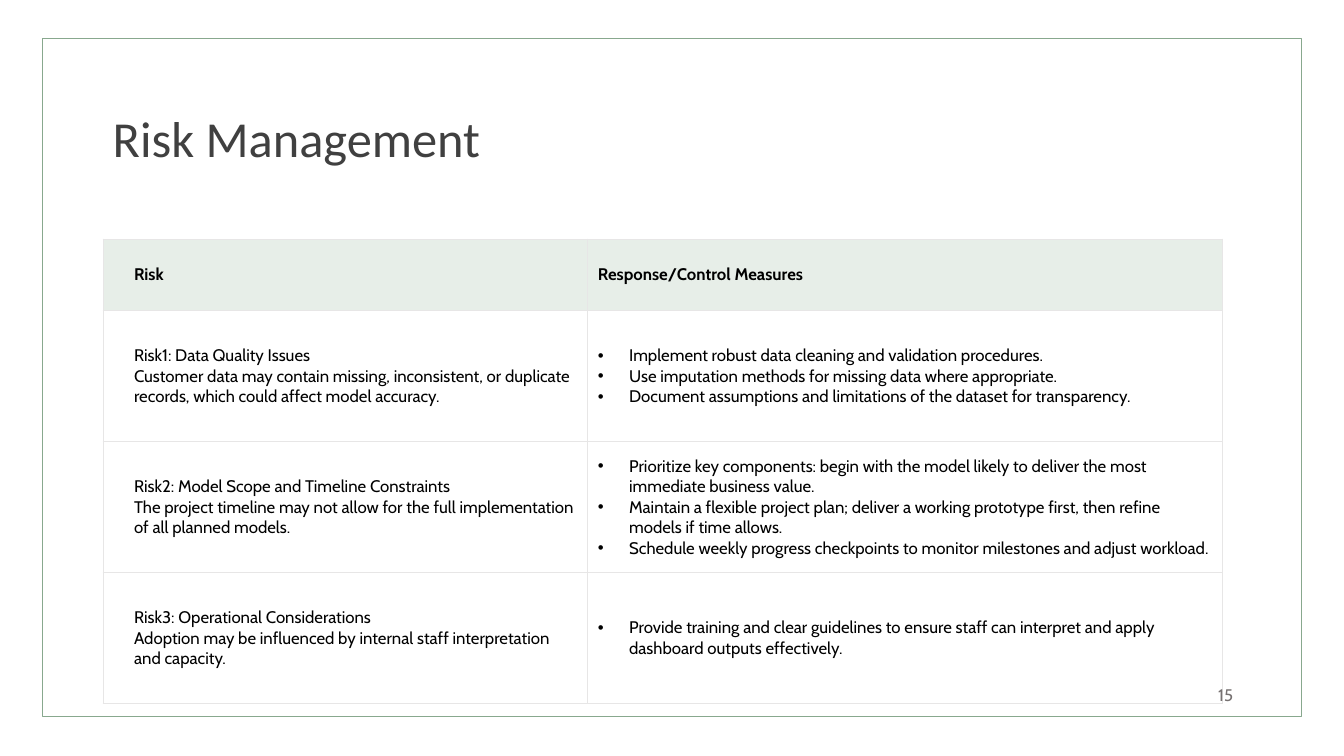
"""Build the risk management slide with its table of risks and responses."""
from lxml.etree import SubElement
from pptx import Presentation
from pptx.dml.color import RGBColor
from pptx.enum.shapes import MSO_SHAPE
from pptx.enum.text import MSO_ANCHOR, PP_ALIGN
from pptx.oxml.ns import qn
from pptx.util import Inches, Pt

COLORS = {
    "frame": "88A88E",
    "title": "404040",
    "header": "E7EEE8",
    "border": "E7E6E6",
    "body": "000000",
    "number": "767171",
}
TABLE_LEFT, TABLE_TOP = 1.02, 2.37
COLUMN_WIDTHS = [4.81, 6.29]
ROW_HEIGHTS = [0.71, 1.3, 1.3, 1.3]
INDENT = Inches(0.31)
ROWS = [
    (["Risk"], ["Response/Control Measures"]),
    (
        [
            "Risk1: Data Quality Issues",
            "Customer data may contain missing, inconsistent, or duplicate records, "
            "which could affect model accuracy.",
        ],
        [
            "Implement robust data cleaning and validation procedures.",
            "Use imputation methods for missing data where appropriate.",
            "Document assumptions and limitations of the dataset for transparency.",
        ],
    ),
    (
        [
            "Risk2: Model Scope and Timeline Constraints",
            "The project timeline may not allow for the full implementation "
            "of all planned models.",
        ],
        [
            "Prioritize key components: begin with the model likely to deliver "
            "the most immediate business value.",
            "Maintain a flexible project plan; deliver a working prototype first, "
            "then refine models if time allows.",
            "Schedule weekly progress checkpoints to monitor milestones and adjust workload.",
        ],
    ),
    (
        [
            "Risk3: Operational Considerations",
            "Adoption may be influenced by internal staff interpretation and capacity.",
        ],
        [
            "Provide training and clear guidelines to ensure staff can interpret "
            "and apply dashboard outputs effectively.",
        ],
    ),
]


def color(name):
    """Return the named colour."""
    return RGBColor.from_string(COLORS[name])


def add_run(paragraph, text, size, font_name, color_name, bold=False):
    """Add one formatted run to a paragraph."""
    run = paragraph.add_run()
    run.text = text
    run.font.size = Pt(size)
    run.font.name = font_name
    run.font.bold = bold
    run.font.color.rgb = color(color_name)


def add_frame(slide):
    """Draw the thin outline around the slide content."""
    box = [Inches(length) for length in (0.42, 0.38, 12.49, 6.73)]
    shape = slide.shapes.add_shape(MSO_SHAPE.RECTANGLE, *box)
    shape.shadow.inherit = False
    shape.fill.background()
    shape.line.color.rgb = color("frame")
    shape.line.width = Pt(1)


def add_label(slide, box, text, size, font_name, color_name, alignment):
    """Add a one-line text box centred vertically in its box."""
    shape = slide.shapes.add_textbox(*[Inches(length) for length in box])
    frame = shape.text_frame
    frame.word_wrap = True
    frame.vertical_anchor = MSO_ANCHOR.MIDDLE
    paragraph = frame.paragraphs[0]
    paragraph.alignment = alignment
    add_run(paragraph, text, size, font_name, color_name)


def set_borders(cell):
    """Outline all four sides of a table cell."""
    properties = cell._tc.get_or_add_tcPr()
    for side in ("a:lnL", "a:lnR", "a:lnT", "a:lnB"):
        line = SubElement(properties, qn(side), w=str(Pt(0.5)))
        fill = SubElement(line, qn("a:solidFill"))
        SubElement(fill, qn("a:srgbClr"), val=COLORS["border"])


def set_bullet(paragraph):
    """Give a paragraph a round bullet and a hanging indent."""
    properties = paragraph._p.get_or_add_pPr()
    properties.set("marL", str(INDENT))
    properties.set("indent", str(-INDENT))
    SubElement(properties, qn("a:buFont"), typeface="Arial")
    SubElement(properties, qn("a:buChar"), char="•")


def fill_cell(cell, lines, is_header, is_response):
    """Format a cell and write its lines as paragraphs."""
    set_borders(cell)
    if is_header:
        cell.fill.solid()
        cell.fill.fore_color.rgb = color("header")
    else:
        cell.fill.background()
    cell.vertical_anchor = MSO_ANCHOR.MIDDLE
    if not is_response:
        cell.margin_left = INDENT
    frame = cell.text_frame
    for index, text in enumerate(lines):
        paragraph = frame.add_paragraph() if index else frame.paragraphs[0]
        if is_response and not is_header:
            set_bullet(paragraph)
        add_run(paragraph, text, 12, "Cabin", "body", bold=is_header)


def add_risk_table(slide):
    """Add the table of risks and control measures."""
    table = slide.shapes.add_table(
        len(ROW_HEIGHTS), len(COLUMN_WIDTHS), Inches(TABLE_LEFT), Inches(TABLE_TOP),
        Inches(sum(COLUMN_WIDTHS)), Inches(sum(ROW_HEIGHTS)),
    ).table
    table.horz_banding = False
    for column, width in zip(table.columns, COLUMN_WIDTHS):
        column.width = Inches(width)
    for row_index, (height, contents) in enumerate(zip(ROW_HEIGHTS, ROWS)):
        table.rows[row_index].height = Inches(height)
        for column_index, lines in enumerate(contents):
            cell = table.cell(row_index, column_index)
            fill_cell(cell, lines, row_index == 0, column_index == 1)


def main():
    """Build and save the slide."""
    presentation = Presentation()
    presentation.slide_width = Inches(13.33)
    presentation.slide_height = Inches(7.5)
    slide = presentation.slides.add_slide(presentation.slide_layouts[6])
    add_frame(slide)
    add_label(slide, (TABLE_LEFT, 0.53, 11.3, 1.67), "Risk Management",
              36, "Calibri", "title", PP_ALIGN.LEFT)
    add_risk_table(slide)
    add_label(slide, (9.33, 6.69, 3, 0.4), "15", 12, "Cabin", "number", PP_ALIGN.RIGHT)
    presentation.save("out.pptx")


if __name__ == "__main__":
    main()
